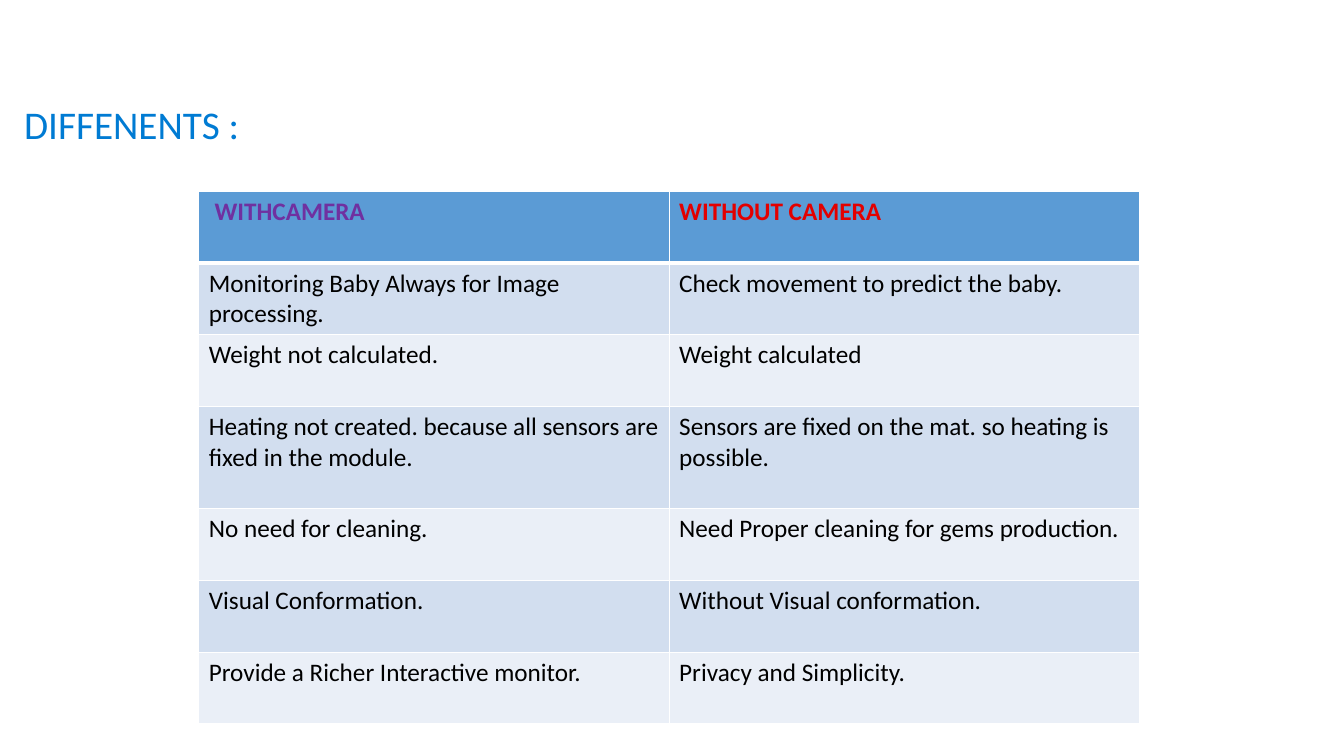
from dataclasses import dataclass

import pptx
import pptx.dml.color
import pptx.enum.text
import pptx.oxml
import pptx.oxml.ns
import pptx.util

Pt = pptx.util.Pt


@dataclass(frozen=True)
class Theme:
    font: str = "Calibri"
    title_size: float = 28
    cell_size: float = 18
    title: str = "007BD3"
    with_camera: str = "7030A0"
    without_camera: str = "E30000"
    body: str = "000000"
    header_fill: str = "5B9BD5"
    bands: tuple = ("D2DEEF", "EAEFF7")
    border: str = "FFFFFF"


THEME = Theme()
HEADERS = (("WITHCAMERA", THEME.with_camera), ("WITHOUT CAMERA", THEME.without_camera))
COMPARISONS = (
    ("Monitoring Baby Always for Image processing.", "Check movement to predict the baby."),
    ("Weight not calculated.", "Weight calculated"),
    ("Heating not created. because all sensors are fixed in the module.",
     "Sensors are fixed on the mat. so heating is possible."),
    ("No need for cleaning.", "Need Proper cleaning for gems production."),
    ("Visual Conformation.", "Without Visual conformation."),
    ("Provide a Richer Interactive monitor.", "Privacy and Simplicity."),
)
ROW_HEIGHT, TALL_ROW_HEIGHT, TALL_ROW = 51.2, 73.1, 3
COLUMN_WIDTH = 336


def rgb(value):
    return pptx.dml.color.RGBColor.from_string(value)


def write_text(tf, text, *, size, color, bold=False, line_spacing=None):
    p = tf.paragraphs[0]
    p.alignment = pptx.enum.text.PP_ALIGN.LEFT
    if line_spacing:
        p.line_spacing = line_spacing
    r = p.add_run()
    r.text = text
    r.font.name = THEME.font
    r.font.size = Pt(size)
    r.font.bold = bold
    r.font.color.rgb = rgb(color)


def add_title(slide, text):
    sp = slide.shapes.title
    sp.left, sp.top, sp.width, sp.height = Pt(10.08), Pt(50.4), Pt(738), Pt(80.64)
    tf = sp.text_frame
    tf.word_wrap = True
    tf.auto_size = pptx.enum.text.MSO_AUTO_SIZE.NONE
    tf.vertical_anchor = pptx.enum.text.MSO_ANCHOR.MIDDLE
    write_text(tf, text, size=THEME.title_size, color=THEME.title, line_spacing=0.9)


def set_borders(cell, top, bottom):
    """Draw all four cell borders; side borders are one point wide."""
    tcPr = cell._tc.get_or_add_tcPr()
    for side, width in (("L", 1), ("R", 1), ("T", top), ("B", bottom)):
        tcPr.append(pptx.oxml.parse_xml(
            f'<a:ln{side} {pptx.oxml.ns.nsdecls("a")} w="{Pt(width)}">'
            f'<a:solidFill><a:srgbClr val="{THEME.border}"/></a:solidFill></a:ln{side}>'))


def format_cell(cell, text, fill, color, top=1, bottom=1, bold=False):
    set_borders(cell, top, bottom)
    cell.fill.solid()
    cell.fill.fore_color.rgb = rgb(fill)
    write_text(cell.text_frame, text, size=THEME.cell_size, color=color, bold=bold)


def add_comparison_table(slide):
    heights = [ROW_HEIGHT] * (len(COMPARISONS) + 1)
    heights[TALL_ROW] = TALL_ROW_HEIGHT
    table = slide.shapes.add_table(
        len(heights), len(HEADERS), Pt(142), Pt(136.8),
        Pt(COLUMN_WIDTH * len(HEADERS)), Pt(sum(heights))).table
    for column in table.columns:
        column.width = Pt(COLUMN_WIDTH)
    for row, height in zip(table.rows, heights):
        row.height = Pt(height)
    for c, (text, color) in enumerate(HEADERS):
        format_cell(table.cell(0, c), text, THEME.header_fill, color, bottom=3, bold=True)
    table.cell(0, 0).margin_left = Pt(11.3)
    for i, texts in enumerate(COMPARISONS):
        for c, text in enumerate(texts):
            format_cell(table.cell(i + 1, c), text, THEME.bands[i % 2], THEME.body,
                        top=3 if i == 0 else 1)


def main():
    prs = pptx.Presentation()
    prs.slide_width, prs.slide_height = Pt(960), Pt(540)
    slide = prs.slides.add_slide(prs.slide_layouts.get_by_name("Title Only"))
    add_title(slide, "DIFFENENTS :")
    add_comparison_table(slide)
    prs.save("out.pptx")


if __name__ == "__main__":
    main()
